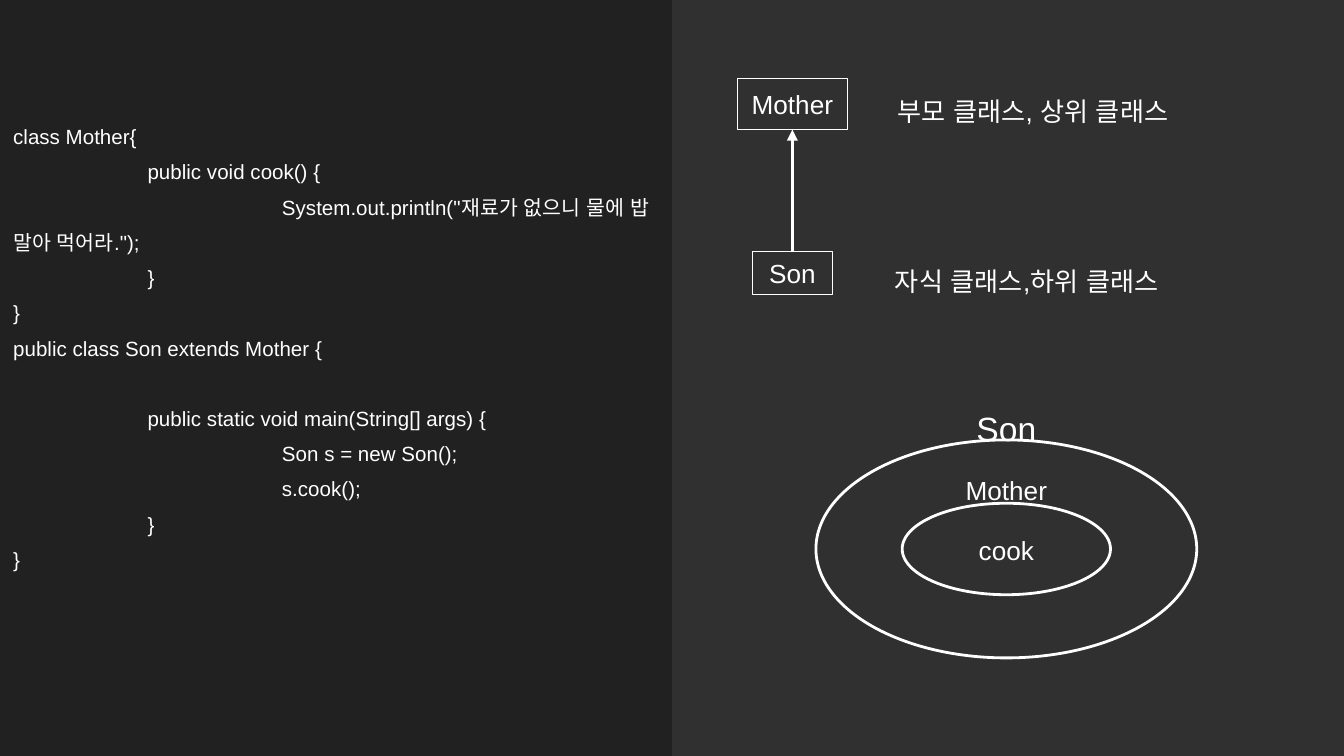
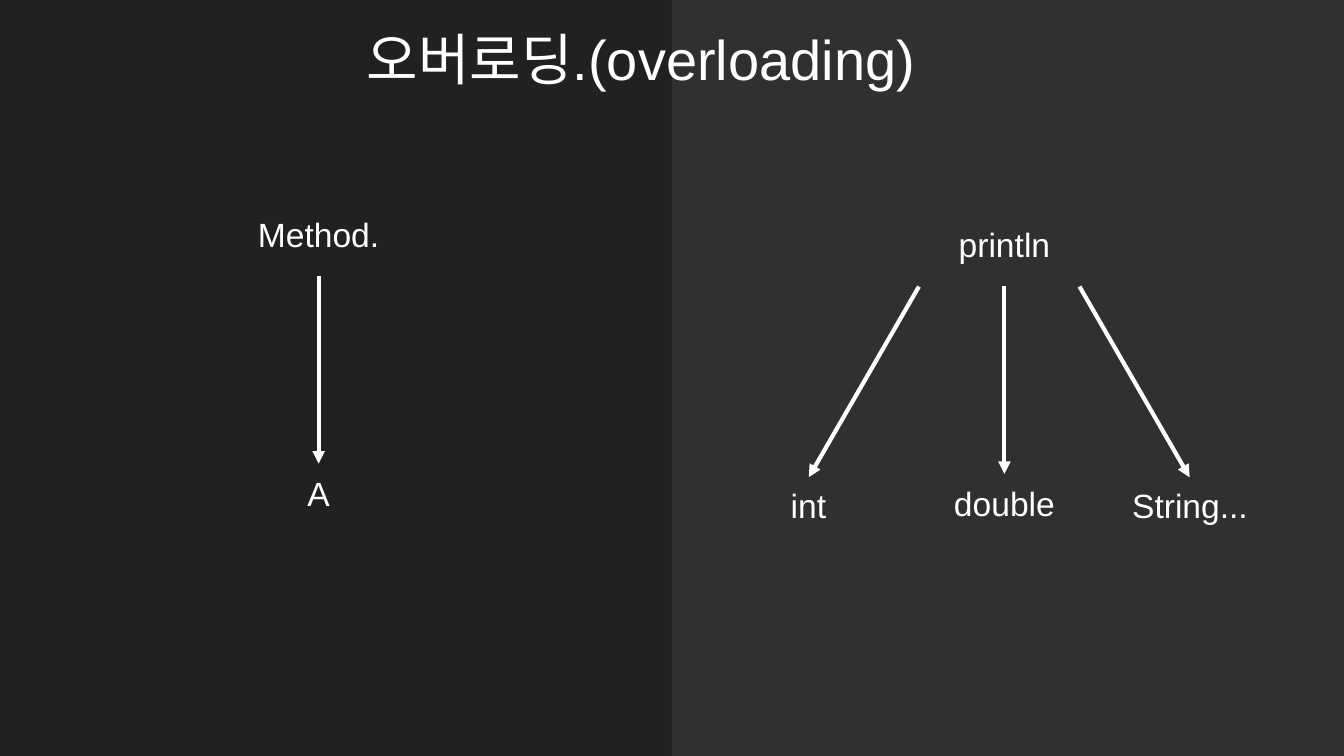
from lxml import etree
from pptx import Presentation
from pptx.dml.color import RGBColor
from pptx.enum import shapes, text
from pptx.oxml import ns
from pptx.util import Pt

WIDTH, HEIGHT = 720, 405
BACK, BAND, INK = "212121", "303030", "FFFFFF"
FONT = "Arial"
INSET = 7.2
TAB = 72
CENTER, LEFT = text.PP_ALIGN.CENTER, text.PP_ALIGN.LEFT
TOP, MIDDLE, BOTTOM = (
    text.MSO_ANCHOR.TOP, text.MSO_ANCHOR.MIDDLE, text.MSO_ANCHOR.BOTTOM)
RECT, OVAL = shapes.MSO_SHAPE.RECTANGLE, shapes.MSO_SHAPE.OVAL

CODE = """class Mother{
\tpublic void cook() {
\t\tSystem.out.println("재료가 없으니 물에 밥 말아 먹어라.");
\t}
}
public class Son extends Mother {

\tpublic static void main(String[] args) {
\t\tSon s = new Son();
\t\ts.cook();
\t}
}"""


def color(value):
    """Turn a hex string into a colour."""
    return RGBColor.from_string(value)


def add_element(parent, tag, **values):
    """Append an XML element with its attributes."""
    return etree.SubElement(parent, ns.qn(tag), values)


def write(para, words, size, align):
    """Add one styled run to a paragraph."""
    para.alignment = align
    span = para.add_run()
    span.text = words
    span.font.size = Pt(size)
    span.font.color.rgb = color(INK)
    span.font.name = FONT
    add_element(span.font._element, "a:ea", typeface=FONT)


def set_frame(box, anchor):
    """Give a text frame its shared insets, wrapping and anchor."""
    frame = box.text_frame
    frame.word_wrap = True
    frame.vertical_anchor = anchor
    frame.margin_left = frame.margin_right = Pt(INSET)
    frame.margin_top = frame.margin_bottom = Pt(INSET)
    return frame


def add_label(parent, area, words, size, align=CENTER, anchor=TOP):
    """Place a one-line text box."""
    box = parent.shapes.add_textbox(*map(Pt, area))
    write(set_frame(box, anchor).paragraphs[0], words, size, align)
    return box


def add_outline(page, kind, area, weight):
    """Place an unfilled shape with a light outline."""
    box = page.shapes.add_shape(kind, *map(Pt, area))
    box.shadow.inherit = False
    box.fill.background()
    box.line.color.rgb = color(INK)
    box.line.width = Pt(weight)
    return box


def add_arrow(parent, start, end, weight):
    """Draw a straight arrow from start to end."""
    arrow = parent.shapes.add_connector(
        shapes.MSO_CONNECTOR.STRAIGHT, *map(Pt, (*start, *end)))
    arrow.line.color.rgb = color(INK)
    arrow.line.width = Pt(weight)
    properties = arrow.element.spPr
    add_element(properties.find(ns.qn("a:ln")), "a:tailEnd", type="triangle")
    add_element(properties, "a:effectLst")
    return arrow


def add_page(deck):
    """Add a dark page whose right half is a lighter band."""
    page = deck.slides.add_slide(deck.slide_layouts[6])
    page.background.fill.solid()
    page.background.fill.fore_color.rgb = color(BACK)
    band = page.shapes.add_shape(
        RECT, *map(Pt, (WIDTH / 2, 0, WIDTH / 2, HEIGHT)))
    band.shadow.inherit = False
    band.fill.solid()
    band.fill.fore_color.rgb = color(BAND)
    band.line.fill.background()
    return page


def add_code(page, area):
    """Write the code listing, turning empty lines into spacing."""
    frame = set_frame(page.shapes.add_textbox(*map(Pt, area)), MIDDLE)
    para, gap = frame.paragraphs[0], 0
    for number, line in enumerate(CODE.splitlines()):
        if not line:
            gap = 18.75
            continue
        if number:
            para = frame.add_paragraph()
        para.line_spacing = 1.43
        para.space_before = Pt(gap)
        stops = add_element(para._p.get_or_add_pPr(), "a:tabLst")
        for step in (1, 2):
            add_element(stops, "a:tab", pos=str(Pt(TAB * step)), algn="l")
        write(para, line, 11, LEFT)
        gap = 0


def add_inheritance(page, left, top):
    """Draw the child box pointing up to its parent, with captions."""
    boxes = []
    for name, caption, width, height, offset, indent, lower in (
            ("Mother", "부모 클래스, 상위 클래스", 59, 27.4, 0, 78.7, 2),
            ("Son", "자식 클래스,하위 클래스", 43, 23, 92.8, 77.3, 0)):
        box = add_outline(
            page, RECT,
            (left + (59 - width) / 2, top + offset, width, height), 0.75)
        write(set_frame(box, MIDDLE).paragraphs[0], name, 14, CENTER)
        add_label(page, (left + indent, top + offset + lower, 239, height),
                  caption, 14, LEFT)
        boxes.append(box)
    mother, son = boxes
    center = left + 29.5
    arrow = add_arrow(page, (center, top + 92.8), (center, top + 27.4), 1.5)
    arrow.begin_connect(son, 0)
    arrow.end_connect(mother, 2)


def add_nesting(page, middle_x, middle_y):
    """Draw two concentric ovals and their names."""
    for width, height in ((204, 116.8), (111.6, 49)):
        add_outline(page, OVAL, (middle_x - width / 2, middle_y - height / 2,
                                 width, height), 1.5)
    for name, size, offset in (
            ("Son", 18, -64.8), ("Mother", 14, -31.5), ("cook", 14, 0.4)):
        add_label(page, (middle_x - 37, middle_y + offset - 9, 74, 18),
                  name, size, anchor=MIDDLE)


def add_call(page, left, top, source_name, target_name):
    """Group two names with a downward arrow between them."""
    group = page.shapes.add_group_shape()
    width, height, drop = 134, 40.4, 138.6
    source = add_label(group, (left, top, width, height), source_name, 18)
    add_label(group, (left, top + drop, width, height), target_name, 18)
    center = left + width / 2
    arrow = add_arrow(
        group, (center, top + height), (center, top + drop + 2.4), 2.25)
    arrow.begin_connect(source, 2)


def add_side_calls(page, center, top):
    """Draw the slanted arrows to the outer two types."""
    for side, name in ((-1, "int"), (1, "String...")):
        add_arrow(page, (center + side * 43, top),
                  (center + side * 102, top + 102.2), 2.25)
        add_label(page, (center + side * 102.2 - 55.8, top + 98.8, 111.6, 36.7),
                  name, 18)


def build_inheritance_page(deck):
    """Build the page on parent and child classes."""
    page = add_page(deck)
    add_code(page, (0, 25.5, 368, 316))
    add_inheritance(page, 395, 42)
    add_nesting(page, 539.1, 294.1)


def build_overloading_page(deck):
    """Build the page on overloading."""
    page = add_page(deck)
    add_label(page, (189.4, 8, 341.3, 48.2), "오버로딩.(overloading)",
              30, LEFT, BOTTOM)
    add_call(page, 103.7, 107.4, "Method.", "A")
    add_call(page, 471.1, 112.9, "println", "double")
    add_side_calls(page, 535.3, 153.5)


def main():
    """Build and save the deck."""
    deck = Presentation()
    deck.slide_width, deck.slide_height = Pt(WIDTH), Pt(HEIGHT)
    build_inheritance_page(deck)
    build_overloading_page(deck)
    deck.save("out.pptx")


if __name__ == "__main__":
    main()
